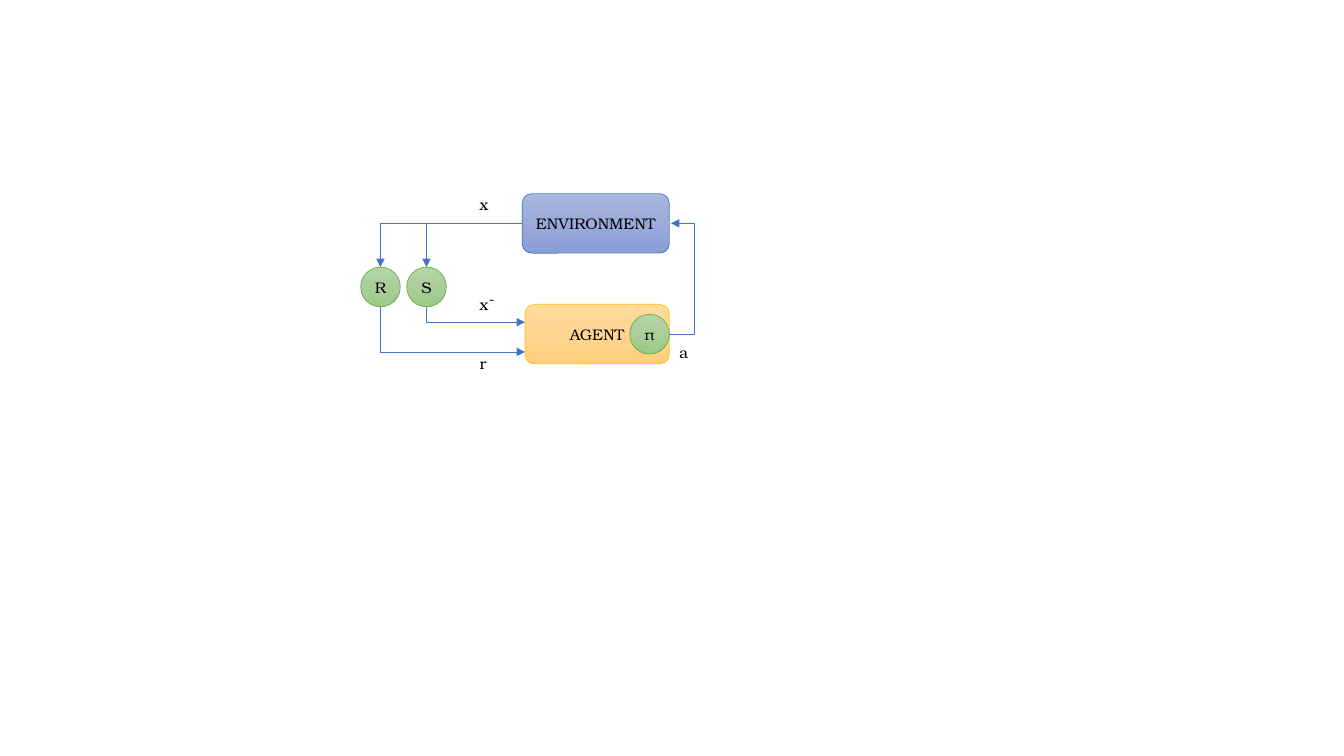
from copy import deepcopy

from pptx import Presentation
from pptx.dml.color import RGBColor
from pptx.enum.shapes import MSO_CONNECTOR as Link, MSO_SHAPE as Preset
from pptx.enum.text import MSO_ANCHOR as Anchor, MSO_AUTO_SIZE as AutoSize, PP_ALIGN as Align
from pptx.oxml.ns import qn
from pptx.oxml.xmlchemy import OxmlElement
from pptx.util import Cm, Pt

FONT = "TeX Gyre Bonum"
BLACK = RGBColor(0x00, 0x00, 0x00)
BLUE = RGBColor(0x44, 0x72, 0xC4)
GOLD = RGBColor(0xFF, 0xC0, 0x00)
GREEN = RGBColor(0x70, 0xAD, 0x47)
BLUE_FADE = RGBColor(0xA8, 0xB7, 0xDF), RGBColor(0x9A, 0xAB, 0xD9), RGBColor(0x88, 0x9E, 0xD7)
GOLD_FADE = RGBColor(0xFF, 0xDB, 0x9E), RGBColor(0xFF, 0xD5, 0x90), RGBColor(0xFF, 0xD0, 0x7C)
GREEN_FADE = RGBColor(0xB5, 0xD5, 0xA7), RGBColor(0xAA, 0xCE, 0x9A), RGBColor(0x9C, 0xC9, 0x87)


def apply(target, formats):
    for name, value in formats.items():
        setattr(target, name, value)


def write(shape, text, align):
    para = shape.text_frame.paragraphs[0]
    para.alignment = align
    span = para.add_run()
    span.text = text
    apply(span.font, {"name": FONT, "size": Pt(11)})
    span.font.color.rgb = BLACK


def add_node(page, preset, text, box, fade, edge):
    node = page.shapes.add_shape(preset, *map(Cm, box))
    node.shadow.inherit = False
    node.fill.gradient()
    stops = node._element.spPr.find(qn("a:gradFill")).gsLst
    stops.insert(1, deepcopy(stops[0]))
    for stop, color, position in zip(node.fill.gradient_stops, fade, (0, 0.5, 1)):
        stop.color.rgb = color
        stop.position = position
    node.fill.gradient_angle = 270
    node.line.color.rgb = edge
    node.line.width = Pt(0.5)
    apply(node.text_frame, {"margin_left": 0, "margin_right": 0, "word_wrap": True,
                            "vertical_anchor": Anchor.MIDDLE})
    write(node, text, Align.CENTER)


def add_label(page, text, left, top, width):
    label = page.shapes.add_textbox(Cm(left), Cm(top), Cm(width), Cm(0.74))
    apply(label.text_frame, {"word_wrap": False, "auto_size": AutoSize.SHAPE_TO_FIT_TEXT})
    write(label, text, Align.LEFT)


def add_arrow(page, start, end, preset="bentConnector2"):
    arrow = page.shapes.add_connector(Link.ELBOW, *map(Cm, (*start, *end)))
    arrow.line.color.rgb = BLUE
    arrow.line.width = Pt(0.5)
    tip = OxmlElement("a:tailEnd")
    tip.set("type", "triangle")
    arrow.line._get_or_add_ln().append(tip)
    properties = arrow._element.spPr
    properties.append(OxmlElement("a:effectLst"))
    properties.find(qn("a:prstGeom")).set("prst", preset)
    return properties


def add_down_then_right(page, start, end):
    (x1, y1), (x2, y2) = start, end
    mid_x, mid_y = (x1 + x2) / 2, (y1 + y2) / 2
    half_w, half_h = (y2 - y1) / 2, (x2 - x1) / 2
    properties = add_arrow(page, (mid_x + half_w, mid_y - half_h), (mid_x - half_w, mid_y + half_h))
    properties.find(qn("a:xfrm")).set("rot", "16200000")


def add_loop_back(page, start, end, reach):
    geometry = add_arrow(page, start, end, "bentConnector3").find(qn("a:prstGeom"))
    guide = OxmlElement("a:gd")
    guide.set("name", "adj1")
    guide.set("fmla", f"val {round(100000 * reach / (end[0] - start[0]))}")
    geometry.get_or_add_avLst().append(guide)


def draw_agent_loop(page, left, top):
    block_h, circle = 1.5, 1
    right = left + 7.78
    environment_x, environment_y = left + 4.07, top + 0.1
    agent_x, agent_y = left + 4.14, top + 2.89
    environment_mid, agent_mid = environment_y + block_h / 2, agent_y + block_h / 2

    blocks = (("AGENT", agent_x, agent_y, GOLD_FADE, GOLD),
              ("ENVIRONMENT", environment_x, environment_y, BLUE_FADE, BLUE))
    for text, x, y, fade, edge in blocks:
        add_node(page, Preset.ROUNDED_RECTANGLE, text, (x, y, right - x, block_h), fade, edge)

    add_loop_back(page, (right, agent_mid), (right + 0.04, environment_mid), 0.64)

    sensor_y = top + 1.95
    for text, x, entry in (("S", left + 1.16, 0.3), ("R", left, 0.8)):
        center = x + circle / 2
        add_node(page, Preset.OVAL, text, (x, sensor_y, circle, circle), GREEN_FADE, GREEN)
        add_arrow(page, (environment_x, environment_mid), (center, sensor_y))
        add_down_then_right(page, (center, sensor_y + circle), (agent_x, agent_y + entry * block_h))
    add_node(page, Preset.OVAL, "π", (right - circle, agent_mid - circle / 2, circle, circle),
             GREEN_FADE, GREEN)

    signal_x = left + 2.75
    labels = (("x", signal_x, 0, 0.74), ("x˜", signal_x, 2.54, 0.91),
              ("r", signal_x, 4.03, 0.69), ("a", right, 3.75, 0.74))
    for text, x, drop, width in labels:
        add_label(page, text, x, top + drop, width)


deck = Presentation()
apply(deck, {"slide_width": Cm(33.87), "slide_height": Cm(19.05)})
page = deck.slides.add_slide(deck.slide_layouts[6])
draw_agent_loop(page, 9.09, 4.78)
deck.save("out.pptx")
